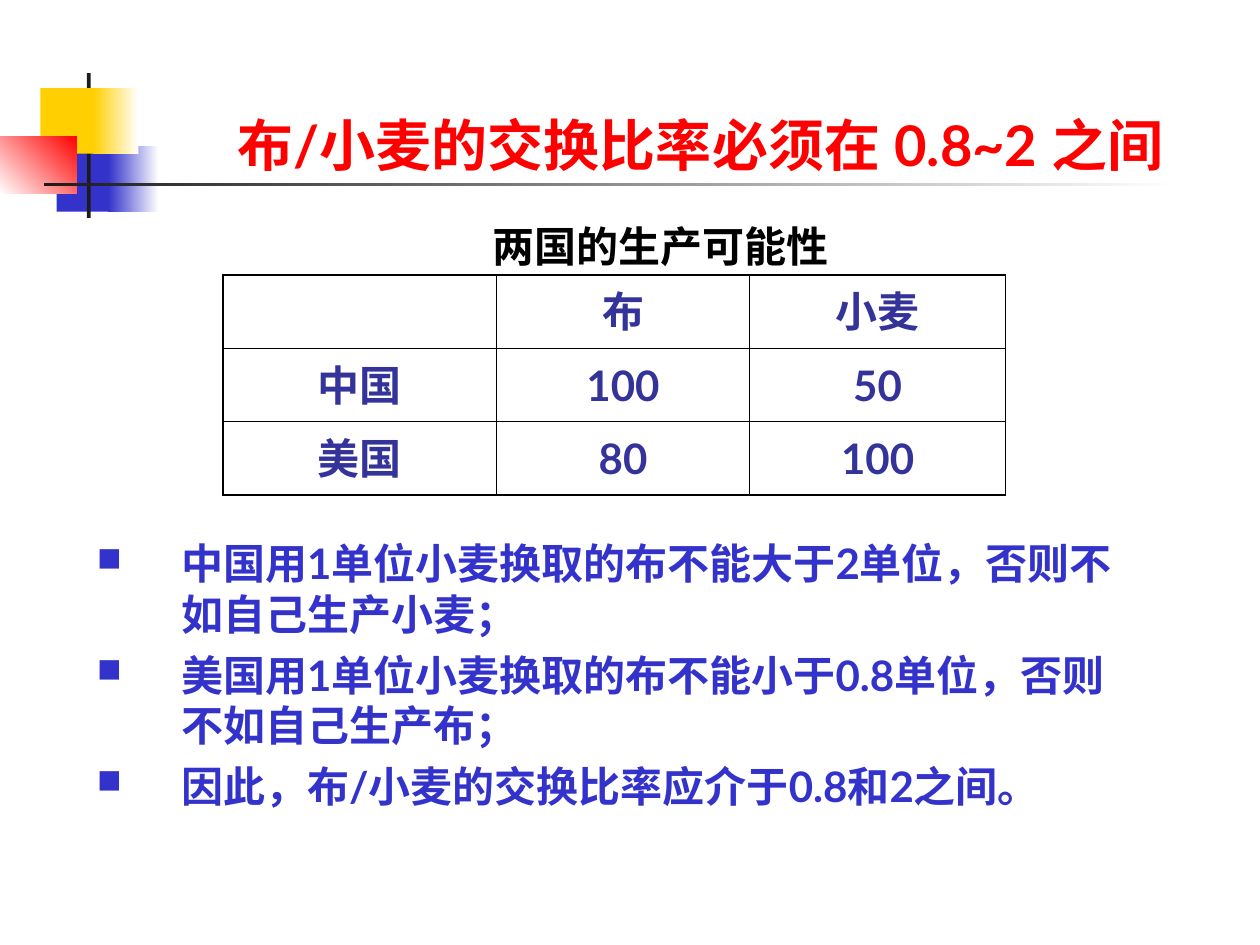
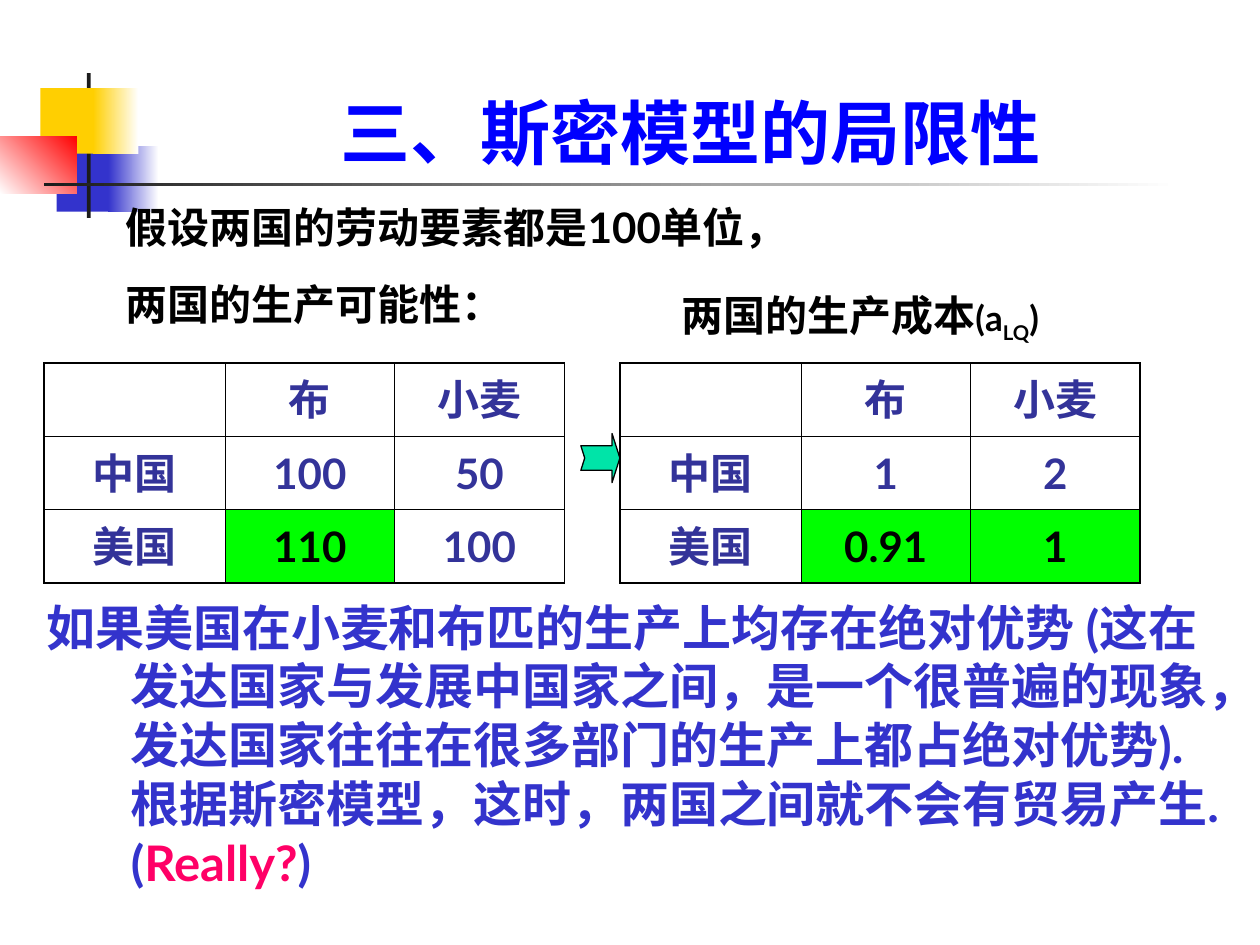
from lxml.etree import SubElement
from pptx import Presentation
from pptx.dml.color import RGBColor
from pptx.enum.shapes import MSO_SHAPE as Shape
from pptx.enum.text import MSO_ANCHOR as Anchor, PP_ALIGN as Align
from pptx.oxml.ns import qn
from pptx.util import Inches, Pt

FONT = "Lato"
WHITE = RGBColor(0xFF, 0xFF, 0xFF)
BLACK = RGBColor(0, 0, 0)
CHARCOAL = RGBColor(0x1C, 0x1C, 0x1C)
INDIGO = RGBColor(0x33, 0x33, 0xCC)
NAVY = RGBColor(0x33, 0x33, 0x99)
BLUE = RGBColor(0, 0, 0xFF)
YELLOW = RGBColor(0xFF, 0xCF, 0x01)
RED = RGBColor(0xFF, 0, 0)
PINK = RGBColor(0xFF, 0, 0x66)
GREEN = RGBColor(0, 0xFF, 0)
MINT = RGBColor(0, 0xE4, 0xA8)

MOTIF = [
    ((0.45, 1.16, 0.46, 0.52), [INDIGO], 0),
    ((0.86, 1.16, 0.4, 0.52), [WHITE, INDIGO], 180),
    ((0.69, 0.58, 0.03, 1.15), [CHARCOAL], 0),
    ((0.32, 0.7, 0.48, 0.52), [YELLOW], 0),
    ((0.74, 0.7, 0.36, 0.52), [WHITE, YELLOW], 180),
    ((0, 1.08, 0.61, 0.46), [RED, WHITE], 225),
    ((0.35, 1.45, 9, 0.03), [WHITE, CHARCOAL], 180),
]

TITLE = {"size": 32, "color": RED, "align": Align.CENTER, "anchor": Anchor.BOTTOM}
CAPTION = {"size": 24, "color": BLACK, "space": 15}
BODY = {"size": 24, "color": INDIGO, "space": 6, "hanging": 0.67}

TABLE_HEIGHT = 1.75
HEADER = ["", "布", "小麦"]
SLIDES = [
    {
        "texts": [
            ((1.3, 0.21, 8.52, 1.25), TITLE, [["布/小麦的交换比率必须在 0.8~2 之间"]]),
            ((0.67, 4.22, 8.5, 2.36), BODY | {"bullet": "■"}, [
                ["中国用1单位小麦换取的布不能大于2单位，否则不如自己生产小麦；"],
                ["美国用1单位小麦换取的布不能小于0.8单位，否则不如自己生产布；"],
                ["因此，布/小麦的交换比率应介于0.8和2之间。"],
            ]),
            ((2.72, 1.7, 5.04, 0.5), CAPTION | {"align": Align.CENTER}, [["两国的生产可能性"]]),
        ],
        "tables": [
            ((1.77, 2.18), (2.17, 2.01, 2.03),
             [HEADER, ["中国", "100", "50"], ["美国", "80", "100"]], []),
        ],
        "arrows": [],
    },
    {
        "texts": [
            ((1.22, 0.6, 8.52, 0.83), TITLE | {"size": 40, "color": BLUE}, [["三、斯密模型的局限性"]]),
            ((0.27, 4.69, 9.45, 2.47), BODY | {"size": 28}, [[
                "如果美国在小麦和布匹的生产上均存在绝对优势 (这在发达国家与发展中国家之间，"
                "是一个很普遍的现象，发达国家往往在很多部门的生产上都占绝对优势). "
                "根据斯密模型，这时，两国之间就不会有贸易产生.(",
                ("Really?", {"color": PINK}),
                ")",
            ]]),
            ((0.9, 1.55, 6.32, 1.11), CAPTION,
             [["假设两国的劳动要素都是100单位，"], ["两国的生产可能性："]]),
            ((5.31, 2.25, 3.67, 0.54), CAPTION, [[
                "两国的生产成本",
                ("(a", {"size": 20}),
                ("LQ", {"size": 20, "baseline": -25000}),
                (")", {"size": 20}),
            ]]),
        ],
        "tables": [
            ((0.35, 2.88), (1.44, 1.34, 1.35),
             [HEADER, ["中国", "100", "50"], ["美国", "110", "100"]], [(2, 1)]),
            ((4.92, 2.88), (1.44, 1.34, 1.35),
             [HEADER, ["中国", "1", "2"], ["美国", "0.91", "1"]], [(2, 1), (2, 2)]),
        ],
        "arrows": [(4.61, 3.44, 0.31, 0.39)],
    },
]


def set_all(target, values):
    for name, value in values.items():
        setattr(target, name, value)


def add_run(paragraph, text, style):
    run = paragraph.add_run()
    run.text = text
    set_all(run.font, {"name": FONT, "size": Pt(style["size"]), "bold": True})
    run.font.color.rgb = style["color"]
    properties = run._r.get_or_add_rPr()
    SubElement(properties, qn("a:ea"), typeface=FONT)
    if "baseline" in style:
        properties.set("baseline", str(style["baseline"]))


def format_paragraph(paragraph, style):
    properties = paragraph._p.get_or_add_pPr()
    if "hanging" in style:
        indent = Inches(style["hanging"])
        properties.set("marL", str(indent))
        properties.set("indent", str(-indent))
    if "bullet" in style:
        color = SubElement(properties, qn("a:buClr"))
        SubElement(color, qn("a:srgbClr"), val=str(style["color"]))
        SubElement(properties, qn("a:buSzPct"), val="80000")
        SubElement(properties, qn("a:buChar"), char=style["bullet"])
    paragraph.alignment = style.get("align", Align.LEFT)


def add_text(slide, box, style, paragraphs):
    frame = slide.shapes.add_textbox(*map(Inches, box)).text_frame
    set_all(frame, {"word_wrap": True, "vertical_anchor": style.get("anchor", Anchor.TOP)})
    for index, parts in enumerate(paragraphs):
        paragraph = frame.add_paragraph() if index else frame.paragraphs[0]
        format_paragraph(paragraph, style)
        if index:
            paragraph.space_before = Pt(style["space"])
        for part in parts:
            text, changes = (part, {}) if isinstance(part, str) else part
            add_run(paragraph, text, style | changes)


def add_preset(slide, preset, box):
    shape = slide.shapes.add_shape(preset, *map(Inches, box))
    shape.shadow.inherit = False
    return shape


def add_motif(slide):
    for box, colors, angle in MOTIF:
        shape = add_preset(slide, Shape.RECTANGLE, box)
        shape.line.fill.background()
        if len(colors) == 1:
            shape.fill.solid()
            shape.fill.fore_color.rgb = colors[0]
            continue
        shape.fill.gradient()
        shape.fill.gradient_angle = angle
        for stop, color in zip(shape.fill.gradient_stops, colors):
            stop.color.rgb = color


def set_borders(cell, outer_sides):
    properties = cell._tc.get_or_add_tcPr()
    for side, is_outer in outer_sides.items():
        width = Pt(1.08 if is_outer else 0.45)
        line = SubElement(properties, qn("a:ln" + side), w=str(width))
        fill = SubElement(line, qn("a:solidFill"))
        SubElement(fill, qn("a:srgbClr"), val=str(BLACK))


def add_table(slide, corner, widths, rows, highlights):
    last_row, last_column = len(rows) - 1, len(widths) - 1
    box = (*corner, sum(widths), TABLE_HEIGHT)
    table = slide.shapes.add_table(len(rows), len(widths), *map(Inches, box)).table
    set_all(table, {"first_row": False, "horz_banding": False})
    for column, width in zip(table.columns, widths):
        column.width = Inches(width)
    for r, values in enumerate(rows):
        for c, value in enumerate(values):
            cell = table.cell(r, c)
            set_borders(cell, {"L": c == 0, "R": c == last_column, "T": r == 0, "B": r == last_row})
            cell.vertical_anchor = Anchor.MIDDLE
            highlighted = (r, c) in highlights
            if highlighted:
                cell.fill.solid()
                cell.fill.fore_color.rgb = GREEN
            else:
                cell.fill.background()
            if value:
                paragraph = cell.text_frame.paragraphs[0]
                paragraph.alignment = Align.CENTER
                add_run(paragraph, value, {"size": 24, "color": BLACK if highlighted else NAVY})


def add_arrow(slide, box):
    arrow = add_preset(slide, Shape.NOTCHED_RIGHT_ARROW, box)
    arrow.adjustments[0], arrow.adjustments[1] = 0.5, 0.2
    arrow.fill.solid()
    arrow.fill.fore_color.rgb = MINT
    arrow.line.color.rgb = BLACK
    arrow.line.width = Pt(0.75)


def main():
    presentation = Presentation()
    set_all(presentation, {"slide_width": Inches(10), "slide_height": Inches(7.5)})
    for content in SLIDES:
        slide = presentation.slides.add_slide(presentation.slide_layouts[6])
        add_motif(slide)
        for text in content["texts"]:
            add_text(slide, *text)
        for table in content["tables"]:
            add_table(slide, *table)
        for box in content["arrows"]:
            add_arrow(slide, box)
    presentation.save("out.pptx")


if __name__ == "__main__":
    main()
